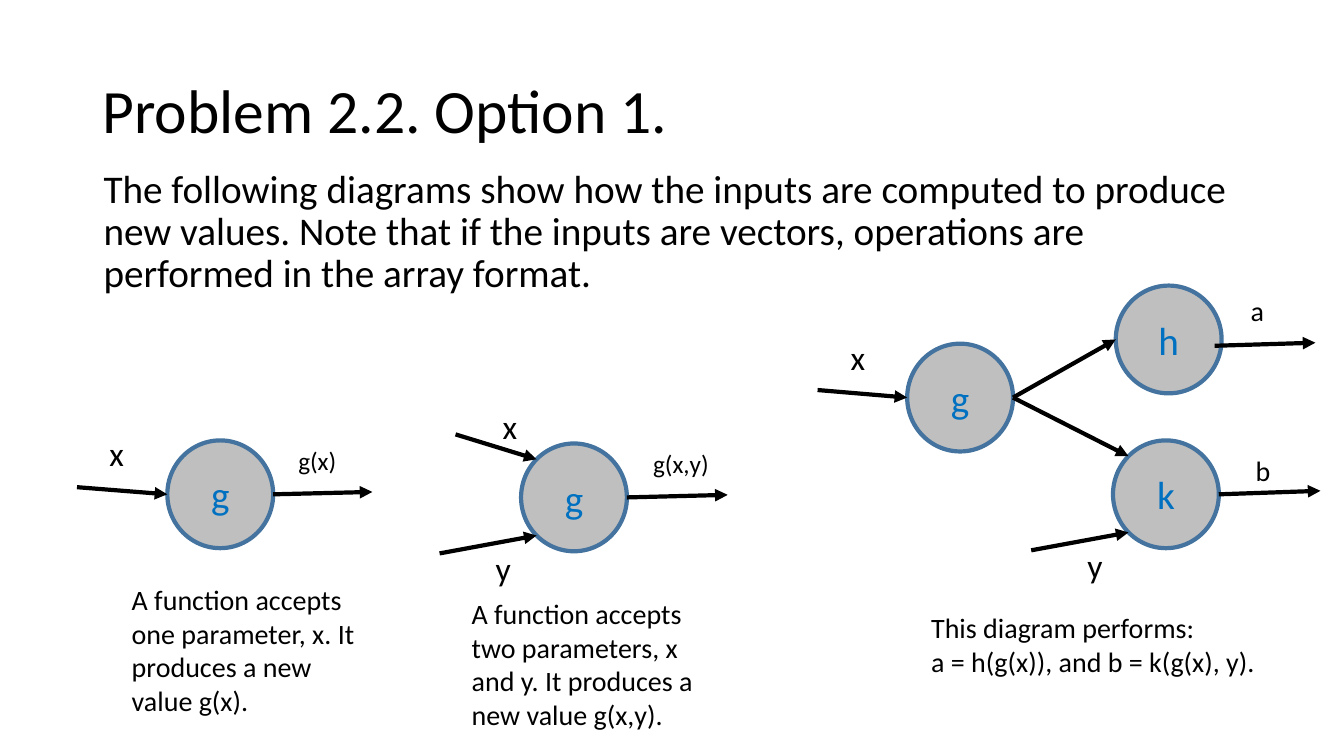
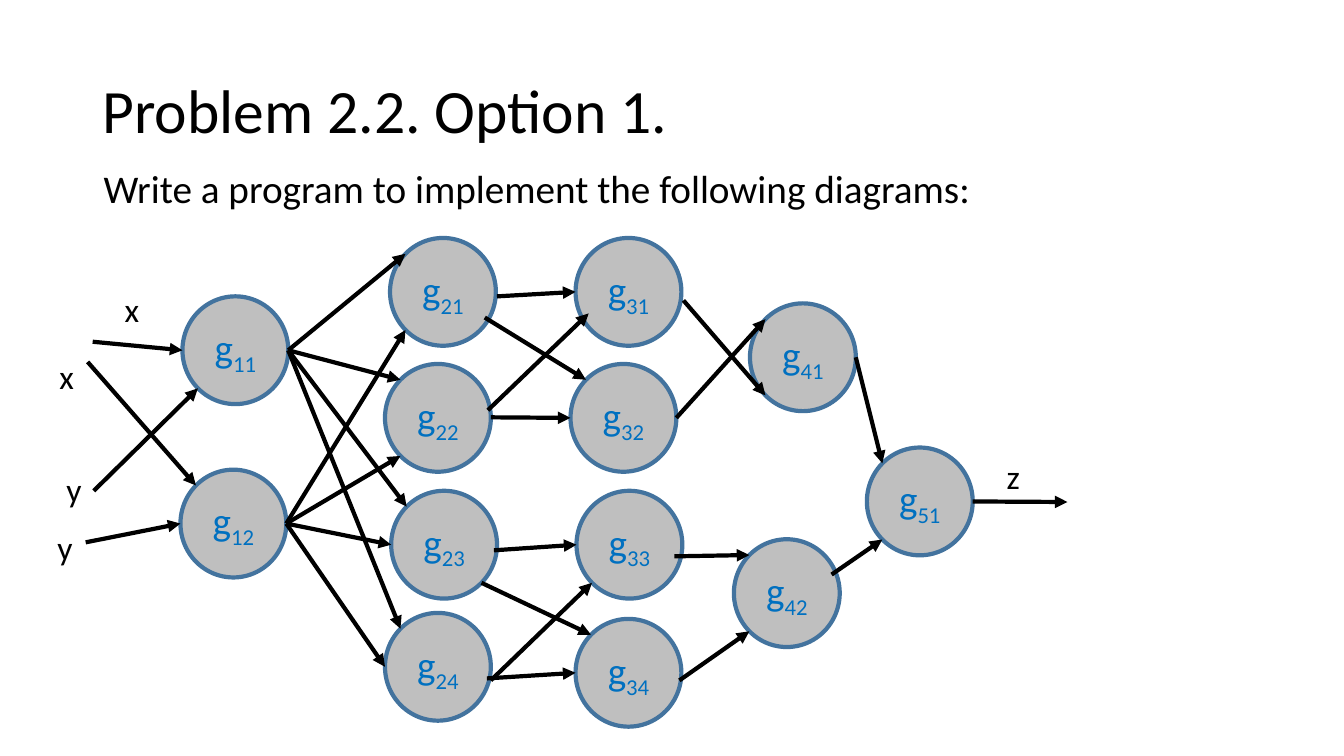
from math import sqrt

from lxml.etree import SubElement
from pptx import Presentation
from pptx.dml.color import RGBColor
from pptx.enum.shapes import MSO_CONNECTOR, MSO_SHAPE
from pptx.enum.text import MSO_ANCHOR, PP_ALIGN
from pptx.oxml.ns import qn
from pptx.util import Pt

FONT_NAME = "Calibri"
BLACK, BLUE, GREY, OUTLINE = "000000", "0070C0", "BFBFBF", "43739E"
LINE_WIDTH = 3
NODE_WIDTH, NODE_HEIGHT = 75.6, 77
LABEL_HEIGHT = 36
DIAGONAL = sqrt(0.5) / 2
SITES = {
    "left": (0, 0.5),
    "right": (1, 0.5),
    "top left": (0.5 - DIAGONAL, 0.5 - DIAGONAL),
    "bottom left": (0.5 - DIAGONAL, 0.5 + DIAGONAL),
    "bottom right": (0.5 + DIAGONAL, 0.5 + DIAGONAL),
}

ONE_PARAMETER = {
    "nodes": {"g": (64.5, 8.6)},
    "arrows": [
        ((0, 42), ("g", "left")),
        (("g", "right"), (211, 45.4)),
    ],
    "labels": [("x", 16, 0, 25, 24), ("g(x)", 151, 8.6, 42, 18)],
    "caption": (
        ["A function accepts one parameter, x. It produces a new value g(x)."],
        32, 106.6, 179, 104,
    ),
}

TWO_PARAMETERS = {
    "nodes": {"g": (58.2, 30.8)},
    "arrows": [
        ((11.4, 24.3), ("g", "top left")),
        ((0, 109.3), ("g", "bottom left")),
        (("g", "right"), (205.8, 67.5)),
    ],
    "labels": [
        ("x", 38, 0.6, 25, 24),
        ("y", 33, 102, 25, 24),
        ("g(x,y)", 145.4, 30.8, 55, 18),
    ],
    "caption": (
        ["A function accepts two parameters, x and y. It produces a new value g(x,y)."],
        15.8, 136.6, 188.6, 104,
    ),
}

COMPOSITION = {
    "nodes": {"g": (64, 41.5), "h": (213, 0), "k": (211, 110.6)},
    "arrows": [
        ((0, 74.6), ("g", "left")),
        (("g", "right"), ("h", "left")),
        (("g", "right"), ("k", "top left")),
        ((152.6, 189.1), ("k", "bottom left")),
        ((283.6, 43), (355.6, 40.8)),
        (("k", "right"), (359.2, 146.6)),
    ],
    "labels": [
        ("x", 16.5, 32.9, 25, 24),
        ("y", 185.7, 181.9, 25, 24),
        ("a", 302.3, 1.9, 25, 20),
        ("b", 305.9, 116.4, 25, 20),
    ],
    "caption": (
        ["This diagram performs:", "a = h(g(x)), and b = k(g(x), y)."],
        74, 228.7, 267.8, 55,
    ),
}

NETWORK = {
    "nodes": {
        "g11": (96.3, 41.7), "g12": (94.9, 165.5),
        "g21": (244.6, 0), "g22": (241, 90),
        "g23": (245.4, 180.6), "g24": (241, 267.8),
        "g31": (377.1, 0), "g32": (373.5, 90),
        "g33": (377.8, 180.6), "g34": (377.1, 272.1),
        "g41": (501.7, 46.7), "g42": (490.2, 215.2),
        "g51": (585.2, 149.7),
    },
    "arrows": [
        ((32.2, 74.1), ("g11", "left")),
        ((33, 180.6), ("g11", "bottom left")),
        ((28.6, 88.5), ("g12", "top left")),
        ((27.2, 217.4), ("g12", "left")),
        *((("g11", "right"), (name, "top left"))
          for name in ("g21", "g22", "g23", "g24")),
        *((("g12", "right"), (name, "bottom left")) for name in ("g21", "g22")),
        *((("g12", "right"), (name, "left")) for name in ("g23", "g24")),
        ((321, 41.7), ("g31", "left")),
        ((312.3, 56.8), ("g32", "top left")),
        ((314.5, 123), (386.5, 53.9)),
        ((316.6, 128.1), ("g32", "left")),
        ((318.8, 223.1), ("g33", "left")),
        (("g23", "bottom right"), ("g34", "top left")),
        ((316.6, 316), ("g33", "bottom left")),
        ((313.8, 314.6), ("g34", "left")),
        ((454.2, 44.6), ("g41", "bottom left")),
        (("g32", "right"), ("g41", "top left")),
        ((447.7, 227.4), ("g42", "top left")),
        ((451.3, 316), ("g42", "bottom left")),
        (("g41", "right"), ("g51", "top left")),
        ((560, 240.4), ("g51", "bottom left")),
        (("g51", "right"), (728.5, 188.6)),
    ],
    "labels": [
        ("x", 48, 33, 25, 24),
        ("x", 1.3, 80.6, 25, 24),
        ("y", 6.3, 161.2, 25, 24),
        ("y", 0, 203, 25, 24),
        ("z", 678, 151.8, 25, 24),
    ],
}

SLIDES = [
    (
        "The following diagrams show how the inputs are computed to produce new values. "
        "Note that if the inputs are vectors, operations are performed in the array format.",
        [(55, 306, ONE_PARAMETER), (314, 286, TWO_PARAMETERS), (584, 204, COMPOSITION)],
    ),
    (
        "Write a program to implement the following diagrams:",
        [(34, 170, NETWORK)],
    ),
]


def color(value):
    return RGBColor.from_string(value)


def set_values(target, values):
    for name, value in values.items():
        setattr(target, name, value)


def format_font(font, size, font_color):
    set_values(font, {"name": FONT_NAME, "size": Pt(size)})
    font.color.rgb = color(font_color)


def add_text(slide, box, lines, size, wrap=True, anchor=MSO_ANCHOR.TOP, spacing=1):
    shape = slide.shapes.add_textbox(*map(Pt, box))
    frame = shape.text_frame
    set_values(frame, {
        "text": "\n".join(lines), "word_wrap": wrap, "vertical_anchor": anchor,
    })
    for paragraph in frame.paragraphs:
        paragraph.line_spacing = spacing
        format_font(paragraph.font, size, BLACK)


def add_node(slide, left, top, name):
    shape = slide.shapes.add_shape(
        MSO_SHAPE.OVAL, Pt(left), Pt(top), Pt(NODE_WIDTH), Pt(NODE_HEIGHT))
    shape.shadow.inherit = False
    shape.fill.solid()
    shape.fill.fore_color.rgb = color(GREY)
    shape.line.color.rgb = color(OUTLINE)
    shape.line.width = Pt(LINE_WIDTH)
    shape.text_frame.vertical_anchor = MSO_ANCHOR.MIDDLE
    paragraph = shape.text_frame.paragraphs[0]
    paragraph.alignment = PP_ALIGN.CENTER
    letter, subscript = name[0], name[1:]
    for text in filter(None, (letter, subscript)):
        run = paragraph.add_run()
        run.text = text
        format_font(run.font, 28, BLUE)
        if text == subscript:
            run.font._element.set("baseline", "-25000")


def add_arrow(slide, start, end):
    connector = slide.shapes.add_connector(
        MSO_CONNECTOR.STRAIGHT, *map(Pt, (*start, *end)))
    connector.line.color.rgb = color(BLACK)
    connector.line.width = Pt(LINE_WIDTH)
    SubElement(connector.line._get_or_add_ln(), qn("a:tailEnd"), type="triangle")
    SubElement(connector._element.spPr, qn("a:effectLst"))


def resolve_point(nodes, end):
    if end[0] not in nodes:
        return end
    name, site = end
    left, top = nodes[name]
    across, down = SITES[site]
    return left + across * NODE_WIDTH, top + down * NODE_HEIGHT


def add_diagram(slide, left, top, diagram):
    nodes = diagram["nodes"]
    for name, (x, y) in nodes.items():
        add_node(slide, left + x, top + y, name)
    for arrow in diagram["arrows"]:
        points = [resolve_point(nodes, end) for end in arrow]
        add_arrow(slide, *((left + x, top + y) for x, y in points))
    for text, x, y, width, size in diagram["labels"]:
        add_text(slide, (left + x, top + y, width, LABEL_HEIGHT), [text], size, wrap=False)
    if "caption" in diagram:
        lines, x, y, width, height = diagram["caption"]
        add_text(slide, (left + x, top + y, width, height), lines, 20)


def add_heading(slide, left, top, body):
    add_text(slide, (left, top, 828, 104.4), ["Problem 2.2. Option 1."], 44,
             anchor=MSO_ANCHOR.MIDDLE, spacing=0.9)
    add_text(slide, (left + 0.7, top + 88.6, 828, 342.7), [body], 28, spacing=0.9)


def main():
    presentation = Presentation()
    set_values(presentation, {"slide_width": Pt(960), "slide_height": Pt(540)})
    for body, diagrams in SLIDES:
        slide = presentation.slides.add_slide(presentation.slide_layouts[6])
        add_heading(slide, 66.2, 28.8, body)
        for left, top, diagram in diagrams:
            add_diagram(slide, left, top, diagram)
    presentation.save("out.pptx")


if __name__ == "__main__":
    main()
